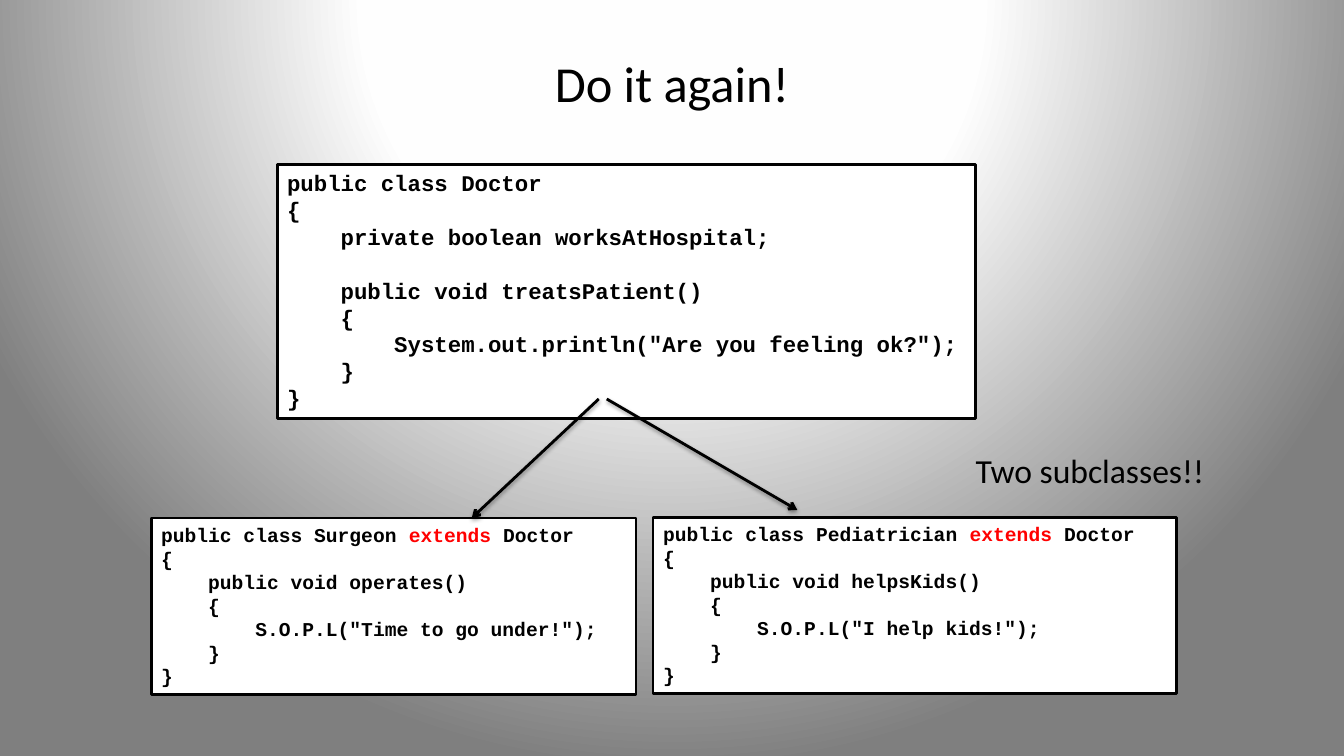
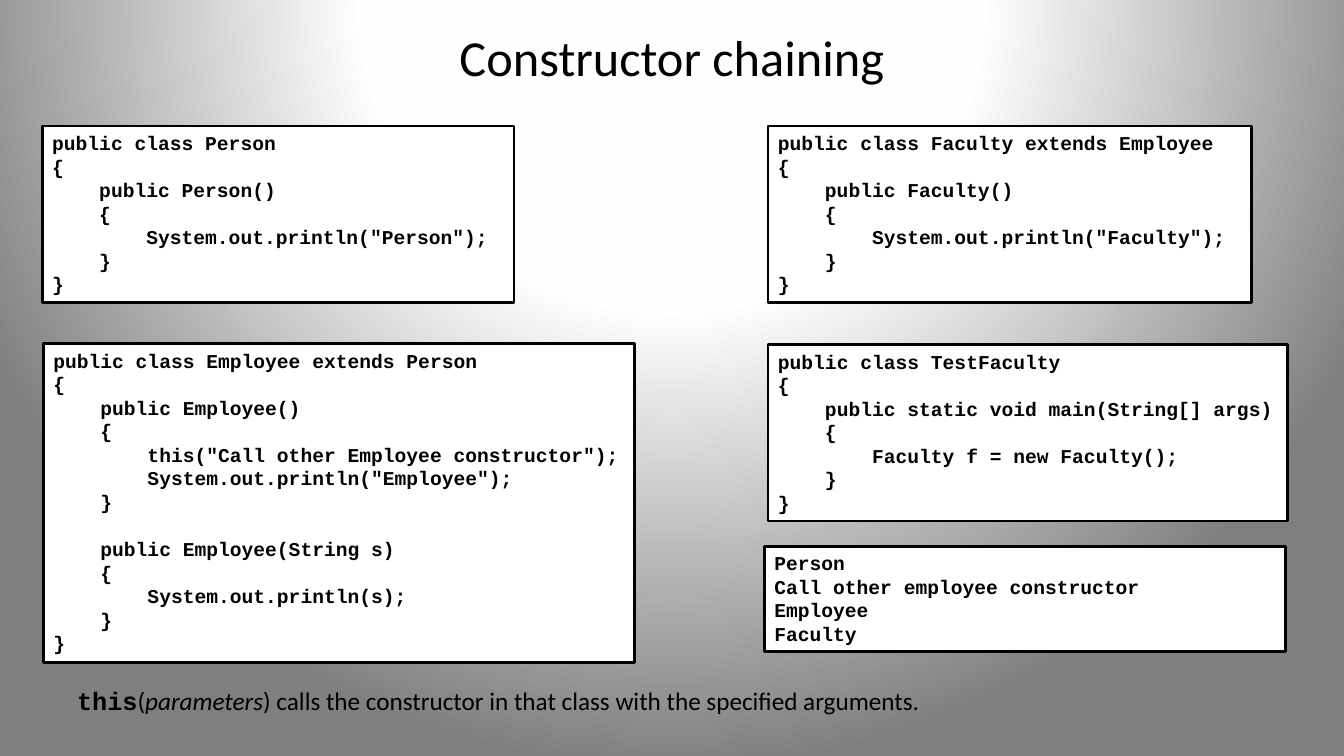
"""Build two slides on Java inheritance and constructor chaining."""
from dataclasses import dataclass
from typing import Any

import pptx
import pptx.dml.color
import pptx.enum.shapes
import pptx.enum.text
import pptx.oxml
import pptx.oxml.ns
import pptx.presentation
import pptx.slide
import pptx.util

Slide = pptx.slide.Slide
Format = dict[str, Any]
Paragraph = list[tuple[str, Format]]

BLACK, WHITE, RED = "000000", "FFFFFF", "FF0000"
BACKGROUND_STOPS = ((0, WHITE), (40, "FEFEFE"), (100, "7F7F7F"))
KEYWORD = "extends"
BORDER = 2
BODY_FONT: Format = {"name": "Calibri", "bold": False, "italic": False}
CODE_FONT: Format = {"name": "Courier New", "bold": True}

DOCTOR = """public class Doctor
{
    private boolean worksAtHospital;
    
    public void treatsPatient()
    {
        System.out.println("Are you feeling ok?");
    }
}"""

SURGEON = """public class Surgeon extends Doctor
{
    public void operates()
    {
        S.O.P.L("Time to go under!");
    }
}"""

PEDIATRICIAN = """public class Pediatrician extends Doctor
{
    public void helpsKids()
    {
        S.O.P.L("I help kids!");
    }
}"""

PERSON = """public class Person
{
    public Person()
    {
        System.out.println("Person");
    }
}"""

EMPLOYEE = """public class Employee extends Person
{
    public Employee()
    {
        this("Call other Employee constructor");
        System.out.println("Employee");
    }
    
    public Employee(String s)
    {
        System.out.println(s);
    }
}"""

FACULTY = """public class Faculty extends Employee
{
    public Faculty()
    {
        System.out.println("Faculty");
    }
}"""

TEST_FACULTY = """public class TestFaculty
{
    public static void main(String[] args)
    {
        Faculty f = new Faculty();
    }
}"""

OUTPUT = """Person
Call other employee constructor
Employee
Faculty"""


@dataclass(frozen=True)
class Box:
    left: float
    top: float
    width: float
    height: float


@dataclass(frozen=True)
class Listing:
    code: str
    box: Box
    size: int = 14
    wrap: bool = False
    keyword_color: str = BLACK


@dataclass(frozen=True)
class Arrow:
    start: tuple[float, float]
    end: tuple[float, float]


DOCTOR_LISTINGS = (
    Listing(DOCTOR, Box(198, 117.4, 499, 181.4), size=16),
    Listing(SURGEON, Box(108, 370, 346.3, 126), wrap=True, keyword_color=RED),
    Listing(PEDIATRICIAN, Box(466.5, 369.4, 373.7, 126), wrap=True, keyword_color=RED),
)
SUBCLASS_ARROWS = (
    Arrow((427.7, 285), (337, 370)),
    Arrow((433.4, 285), (569.5, 364.3)),
)
CHAINING_LISTINGS = (
    Listing(PERSON, Box(30.2, 90, 337, 126)),
    Listing(EMPLOYEE, Box(31, 245.5, 422, 227.5)),
    Listing(FACULTY, Box(548.6, 90, 345.6, 126)),
    Listing(TEST_FACULTY, Box(548.6, 246.2, 370.8, 126)),
    Listing(OUTPUT, Box(546, 390.2, 372.2, 75), wrap=True),
)


def rgb(color: str) -> pptx.dml.color.RGBColor:
    return pptx.dml.color.RGBColor.from_string(color)


def xml(markup: str) -> Any:
    namespace = pptx.oxml.ns.nsdecls("a")
    return pptx.oxml.parse_xml(markup.replace(">", f" {namespace}>", 1))


def paint_background(deck: pptx.presentation.Presentation) -> None:
    master = deck.slide_master
    master.background.fill.gradient()
    default = master.element.find(".//" + pptx.oxml.ns.qn("a:gradFill"))
    stops = "".join(
        f'<a:gs pos="{percent * 1000}"><a:srgbClr val="{color}"/></a:gs>'
        for percent, color in BACKGROUND_STOPS
    )
    radial = xml(
        f'<a:gradFill><a:gsLst>{stops}</a:gsLst><a:path path="circle">'
        '<a:fillToRect l="50000" t="-80000" r="50000" b="180000"/>'
        "</a:path></a:gradFill>"
    )
    default.getparent().replace(default, radial)


def add_text(slide: Slide, box: Box, paragraphs: list[Paragraph], **frame_format: Any) -> Any:
    text_box = slide.shapes.add_textbox(
        *map(pptx.util.Pt, (box.left, box.top, box.width, box.height))
    )
    frame = text_box.text_frame
    for attribute, value in frame_format.items():
        setattr(frame, attribute, value)
    for index, runs in enumerate(paragraphs):
        paragraph = frame.add_paragraph() if index else frame.paragraphs[0]
        for text, run_format in runs:
            run = paragraph.add_run()
            run.text = text
            for attribute, value in run_format.items():
                if attribute == "color":
                    run.font.color.rgb = rgb(value)
                else:
                    setattr(run.font, attribute, value)
    return text_box


def add_title(slide: Slide, text: str, top: float, height: float) -> None:
    title_format = {**BODY_FONT, "size": pptx.util.Pt(36), "color": BLACK}
    title = add_text(
        slide, Box(48, top, 864, height), [[(text, title_format)]],
        word_wrap=True, vertical_anchor=pptx.enum.text.MSO_ANCHOR.MIDDLE,
    )
    title.text_frame.paragraphs[0].alignment = pptx.enum.text.PP_ALIGN.CENTER


def add_note(slide: Slide, box: Box, runs: Paragraph, size: int) -> None:
    shared = {"size": pptx.util.Pt(size), "color": BLACK}
    add_text(
        slide, box, [[(text, {**shared, **run_format}) for text, run_format in runs]],
        word_wrap=False, auto_size=pptx.enum.text.MSO_AUTO_SIZE.SHAPE_TO_FIT_TEXT,
    )


def code_runs(line: str, listing: Listing) -> Paragraph:
    plain = {**CODE_FONT, "size": pptx.util.Pt(listing.size), "color": BLACK}
    if listing.keyword_color == BLACK:
        return [(line, plain)]
    marked = {**plain, "color": listing.keyword_color}
    parts = line.partition(KEYWORD)
    return [(part, marked if part == KEYWORD else plain) for part in parts if part]


def add_listing(slide: Slide, listing: Listing) -> None:
    panel = add_text(
        slide, listing.box,
        [code_runs(line, listing) for line in listing.code.split("\n")],
        word_wrap=listing.wrap,
        auto_size=pptx.enum.text.MSO_AUTO_SIZE.SHAPE_TO_FIT_TEXT,
    )
    panel.fill.solid()
    panel.fill.fore_color.rgb = rgb(WHITE)
    panel.line.color.rgb = rgb(BLACK)
    panel.line.width = pptx.util.Pt(BORDER)


def add_arrow(slide: Slide, arrow: Arrow) -> None:
    connector = slide.shapes.add_connector(
        pptx.enum.shapes.MSO_CONNECTOR.STRAIGHT,
        *map(pptx.util.Pt, arrow.start + arrow.end),
    )
    connector.line.color.rgb = rgb(BLACK)
    connector.line.width = pptx.util.Pt(BORDER)
    outline = connector.element.find(".//" + pptx.oxml.ns.qn("a:ln"))
    outline.append(xml('<a:tailEnd type="arrow"></a:tailEnd>'))
    outline.addnext(xml(
        f'<a:effectLst><a:outerShdw blurRad="{pptx.util.Pt(3.1)}" '
        f'dist="{pptx.util.Pt(1.6)}" dir="5400000" rotWithShape="0">'
        f'<a:srgbClr val="{BLACK}"><a:alpha val="38000"/></a:srgbClr>'
        "</a:outerShdw></a:effectLst>"
    ))


def build_subclasses(slide: Slide) -> None:
    add_title(slide, "Do it again!", 21.6, 74)
    for listing in DOCTOR_LISTINGS:
        add_listing(slide, listing)
    for arrow in SUBCLASS_ARROWS:
        add_arrow(slide, arrow)
    add_note(slide, Box(689.8, 318.2, 180.7, 36), [("Two subclasses!!", BODY_FONT)], 24)


def build_chaining(slide: Slide) -> None:
    add_title(slide, "Constructor chaining", 5.8, 68.4)
    for listing in CHAINING_LISTINGS:
        add_listing(slide, listing)
    explanation = [
        ("this", CODE_FONT),
        ("(", BODY_FONT),
        ("parameters", {**BODY_FONT, "italic": True}),
        (") calls the constructor in that class with the specified arguments.", BODY_FONT),
    ]
    add_note(slide, Box(48, 486, 636.5, 28.8), explanation, 18)


def main() -> None:
    deck = pptx.Presentation()
    deck.slide_width, deck.slide_height = pptx.util.Pt(960), pptx.util.Pt(540)
    paint_background(deck)
    blank = deck.slide_layouts[6]
    for build in (build_subclasses, build_chaining):
        build(deck.slides.add_slide(blank))
    deck.save("out.pptx")


if __name__ == "__main__":
    main()
